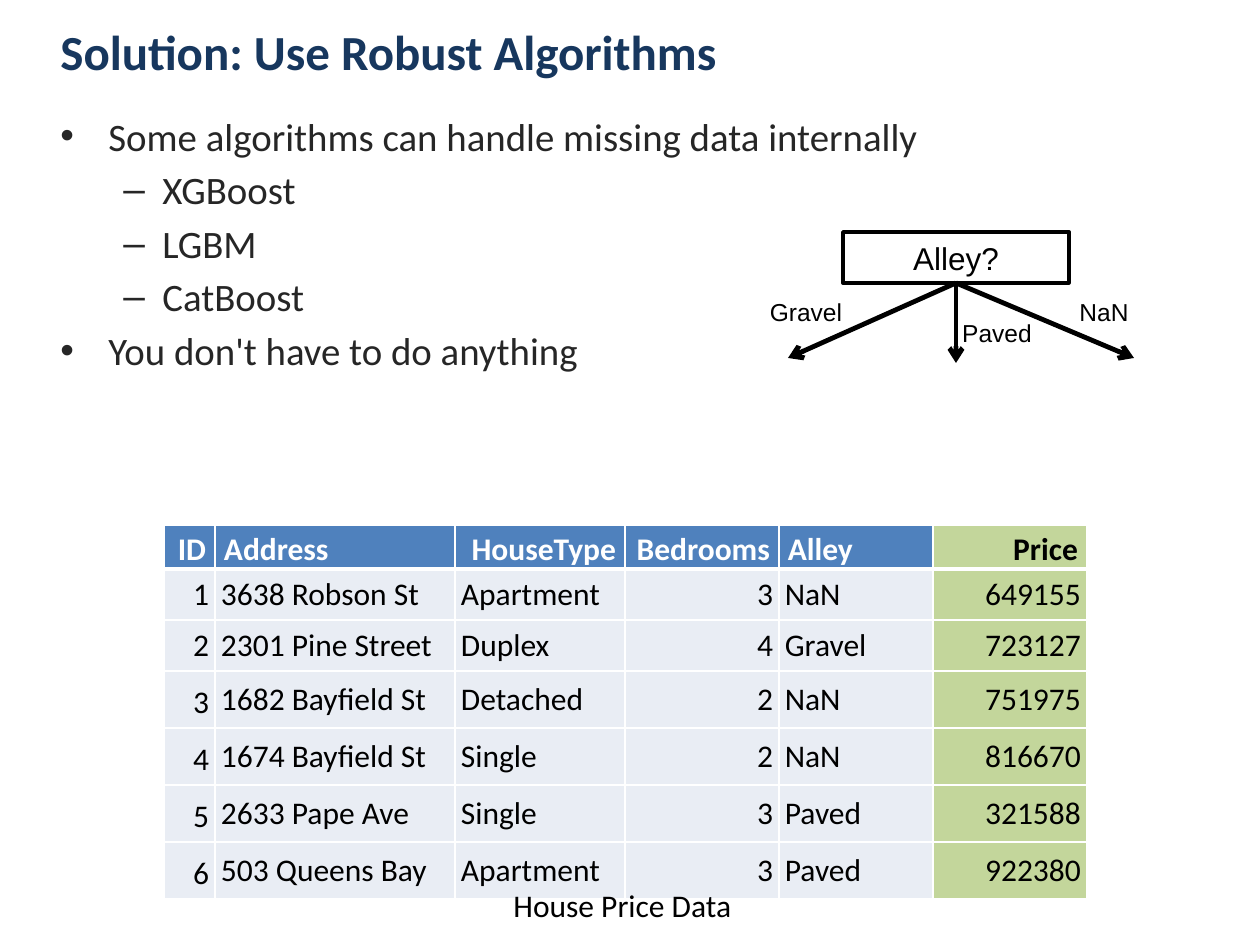
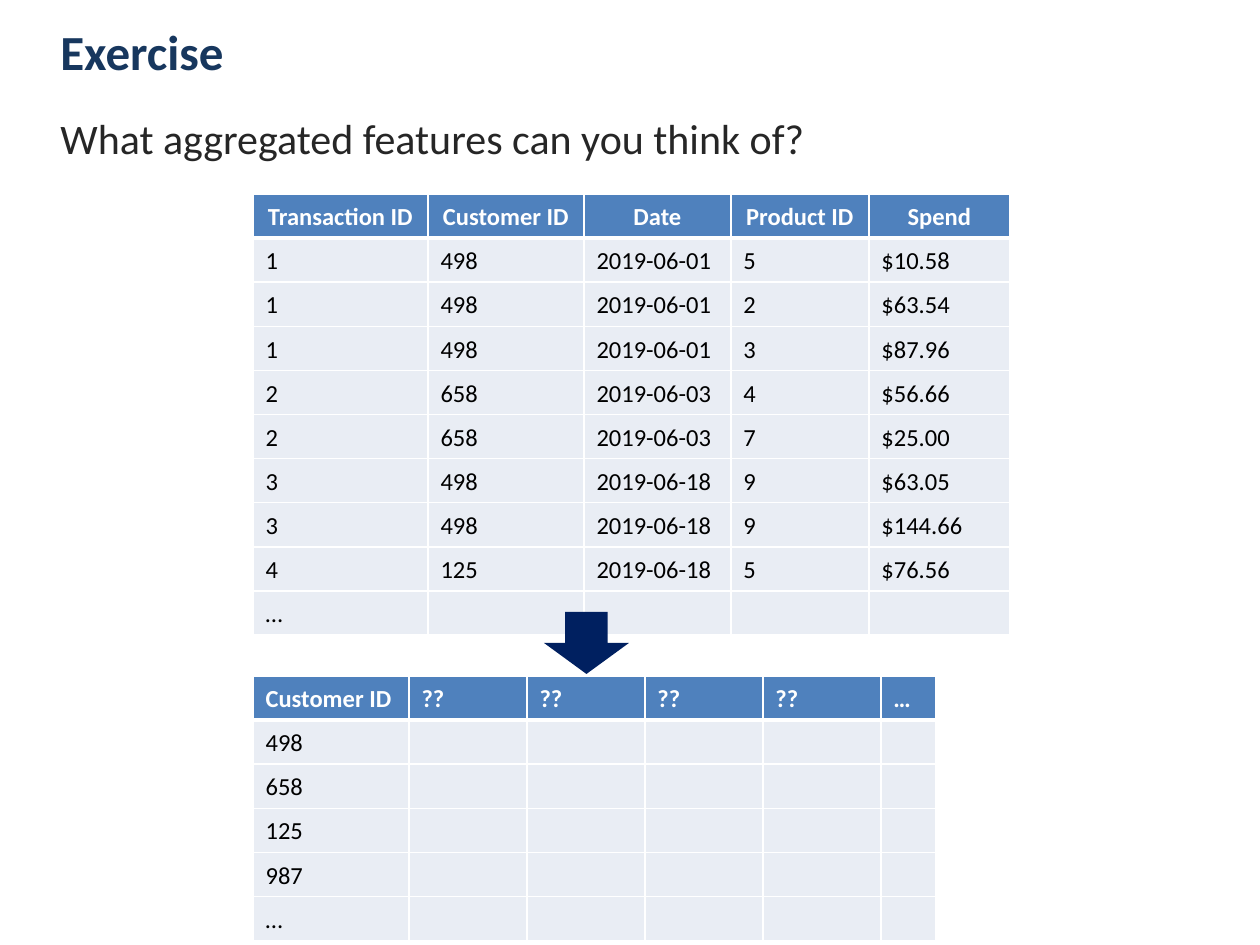
import lxml.etree
import pptx
import pptx.dml.color
import pptx.enum.shapes
import pptx.enum.text
import pptx.oxml.ns
import pptx.util

PX = 914400 / 126
COLORS = {
    "title": "17375E", "body": "262626", "black": "000000", "white": "FFFFFF",
    "header": "4F81BD", "cell": "E9EDF4", "target": "C3D69B", "arrow": "002060",
}
ALIGN = {
    "l": pptx.enum.text.PP_ALIGN.LEFT,
    "c": pptx.enum.text.PP_ALIGN.CENTER,
    "r": pptx.enum.text.PP_ALIGN.RIGHT,
}
MIDDLE = pptx.enum.text.MSO_ANCHOR.MIDDLE
TITLE_BOX = (48, 6, 1033, 89)

HOUSES = [
    ["ID", "Address", "HouseType", "Bedrooms", "Alley", "Price"],
    ["1", "3638 Robson St", "Apartment", "3", "NaN", "649155"],
    ["2", "2301 Pine Street", "Duplex", "4", "Gravel", "723127"],
    ["3", "1682 Bayfield St", "Detached", "2", "NaN", "751975"],
    ["4", "1674 Bayfield St", "Single", "2", "NaN", "816670"],
    ["5", "2633 Pape Ave", "Single", "3", "Paved", "321588"],
    ["6", "503 Queens Bay", "Apartment", "3", "Paved", "922380"],
]
TRANSACTIONS = [
    ["Transaction ID", "Customer ID", "Date", "Product ID", "Spend"],
    ["1", "498", "2019-06-01", "5", "$10.58"],
    ["1", "498", "2019-06-01", "2", "$63.54"],
    ["1", "498", "2019-06-01", "3", "$87.96"],
    ["2", "658", "2019-06-03", "4", "$56.66"],
    ["2", "658", "2019-06-03", "7", "$25.00"],
    ["3", "498", "2019-06-18", "9", "$63.05"],
    ["3", "498", "2019-06-18", "9", "$144.66"],
    ["4", "125", "2019-06-18", "5", "$76.56"],
    ["…", "", "", "", ""],
]
CUSTOMERS = [["Customer ID", "??", "??", "??", "??", "…"]] + [
    [customer, "", "", "", "", ""] for customer in ("498", "658", "125", "987", "…")
]


def px(*lengths):
    return [pptx.util.Emu(round(length * PX)) for length in lengths]


def rgb(name):
    return pptx.dml.color.RGBColor.from_string(COLORS[name])


def add_xml(parent, tag, **attributes):
    return lxml.etree.SubElement(parent, pptx.oxml.ns.qn(tag), attributes)


def write(paragraph, text, size, color, font="Calibri", bold=False, align="l"):
    paragraph.alignment = ALIGN[align]
    run = paragraph.add_run()
    run.text = text
    run.font.name = font
    run.font.size = pptx.util.Pt(size)
    run.font.bold = bold
    run.font.color.rgb = rgb(color)


def add_text(slide, box, text, size, color, wrap=True, anchor=None, **style):
    frame = slide.shapes.add_textbox(*px(*box)).text_frame
    frame.word_wrap = wrap
    if anchor is not None:
        frame.vertical_anchor = anchor
    write(frame.paragraphs[0], text, size, color, **style)


def add_titled_slide(presentation, title):
    slide = presentation.slides.add_slide(presentation.slide_layouts[6])
    add_text(slide, TITLE_BOX, title, 28, "title", bold=True, anchor=MIDDLE)
    return slide


def add_bullets(slide, box, items):
    frame = slide.shapes.add_textbox(*px(*box)).text_frame
    frame.word_wrap = True
    for index, (level, text) in enumerate(items):
        paragraph = frame.add_paragraph() if index else frame.paragraphs[0]
        paragraph.level = level
        left, hanging, mark = [(48, 48, "•"), (102, 39, "–")][level]
        properties = paragraph._p.get_or_add_pPr()
        properties.set("marL", str(px(left)[0]))
        properties.set("indent", str(px(-hanging)[0]))
        add_xml(properties, "a:buFont", typeface="Arial")
        add_xml(properties, "a:buChar", char=mark)
        if index:
            paragraph.space_before = pptx.util.Pt(4)
        write(paragraph, text, 22.2, "body")


def add_borders(cell, row):
    properties = cell._tc.get_or_add_tcPr()
    widths = {"L": 1, "R": 1, "T": 3 if row == 1 else 1, "B": 3 if row == 0 else 1}
    for side, width in widths.items():
        line = add_xml(properties, "a:ln" + side, w=str(pptx.util.Pt(width)))
        add_xml(add_xml(line, "a:solidFill"), "a:srgbClr", val=COLORS["white"])


def add_data_table(slide, position, widths, heights, rows, size, head_align, body_align,
                   head_spacing, body_spacing, space_after=0, margins=None, target=None):
    box = px(*position, sum(widths), sum(heights))
    table = slide.shapes.add_table(len(rows), len(widths), *box).table
    table.horz_banding = False
    for column, width in zip(table.columns, px(*widths)):
        column.width = width
    for row, height in zip(table.rows, px(*heights)):
        row.height = height

    for row, texts in enumerate(rows):
        head = row == 0
        for column, text in enumerate(texts):
            cell = table.cell(row, column)
            cell.vertical_anchor = MIDDLE
            if margins:
                side, edge = px(*margins[0 if head else 1])
                cell.margin_left = cell.margin_right = side
                cell.margin_top = cell.margin_bottom = edge
            add_borders(cell, row)
            cell.fill.solid()
            plain = "header" if head else "cell"
            cell.fill.fore_color.rgb = rgb("target" if column == target else plain)

            paragraph = cell.text_frame.paragraphs[0]
            paragraph.line_spacing = head_spacing if head else body_spacing
            paragraph.space_after = pptx.util.Pt(space_after)
            if text:
                color = "white" if head and column != target else "black"
                align = (head_align if head else body_align)[column]
                write(paragraph, text, size, color, bold=head, align=align)
            else:
                # An empty cell keeps the row at the height of its text size
                add_xml(paragraph._p, "a:endParaRPr", sz=str(size * 100))
    return table


def add_decision_node(slide, box):
    left, top, width, height = box
    node = slide.shapes.add_shape(pptx.enum.shapes.MSO_SHAPE.RECTANGLE, *px(*box))
    node.shadow.inherit = False
    node.fill.solid()
    node.fill.fore_color.rgb = rgb("white")
    node.line.color.rgb = rgb("black")
    node.line.width = pptx.util.Pt(2)
    node.text_frame.vertical_anchor = MIDDLE
    write(node.text_frame.paragraphs[0], "Alley?", 18, "black", font="Arial", align="c")

    # Branches: arrow tip and label box, relative to the middle of the lower side
    start_x, start_y = left + width // 2, top + height
    branches = [
        ("Gravel", (-168, 75), (-199, 8, 98, 43)),
        ("NaN", (178, 75), (111, 8, 74, 43)),
        ("Paved", (0, 80), (-7, 29, 96, 43)),
    ]
    for label, (tip_x, tip_y), (x, y, label_width, label_height) in branches:
        arrow = slide.shapes.add_connector(
            pptx.enum.shapes.MSO_CONNECTOR.STRAIGHT,
            *px(start_x, start_y, start_x + tip_x, start_y + tip_y))
        arrow.begin_connect(node, 2)
        arrow.line.color.rgb = rgb("black")
        arrow.line.width = pptx.util.Pt(2.75)
        add_xml(arrow.line._get_or_add_ln(), "a:tailEnd", type="arrow")
        add_xml(arrow._element.spPr, "a:effectLst")
        add_text(slide, (start_x + x, start_y + y, label_width, label_height), label,
                 14, "black", wrap=False, font="Arial", align="c")


def add_down_arrow(slide, box):
    arrow = slide.shapes.add_shape(pptx.enum.shapes.MSO_SHAPE.DOWN_ARROW, *px(*box))
    arrow.shadow.inherit = False
    arrow.fill.solid()
    arrow.fill.fore_color.rgb = rgb("arrow")
    arrow.line.fill.background()


def build_robust_algorithms(presentation):
    slide = add_titled_slide(presentation, "Solution: Use Robust Algorithms")
    add_bullets(slide, (48, 106, 1164, 241), [
        (0, "Some algorithms can handle missing data internally"),
        (1, "XGBoost"),
        (1, "LGBM"),
        (1, "CatBoost"),
        (0, "You don't have to do anything"),
    ])
    table = add_data_table(
        slide, (164, 525), [51, 240, 170, 154, 154, 154], [44, 51, 51] + [57] * 4,
        HOUSES, 18, "rlrrlr", "rllrlr", 1.15, 1.0,
        margins=[(9, 0), (6, 6)], target=5)
    for row in range(3, len(HOUSES)):
        table.cell(row, 0).text_frame.paragraphs[0].line_spacing = 1.15
    add_text(slide, (501, 880, 246, 50), "House Price Data", 18, "black", wrap=False)
    add_decision_node(slide, (843, 232, 226, 51))


def build_exercise(presentation):
    slide = add_titled_slide(presentation, "Exercise")
    add_text(slide, (48, 106, 1164, 89), "What aggregated features can you think of?",
             24, "body")
    tables = [
        (194, [175, 156, 147, 138, 141], TRANSACTIONS, "ccccc"),
        (676, [156] + [118] * 4 + [55], CUSTOMERS, "llllll"),
    ]
    for top, widths, rows, head_align in tables:
        add_data_table(slide, (253, top), widths, [44] * len(rows), rows, 14,
                       head_align, "l" * len(widths), 1.07, 1.07, space_after=8)
    add_down_arrow(slide, (544, 612, 85, 62))


def main():
    presentation = pptx.Presentation()
    presentation.slide_width, presentation.slide_height = px(1260, 945)
    build_robust_algorithms(presentation)
    build_exercise(presentation)
    presentation.save("out.pptx")


if __name__ == "__main__":
    main()
